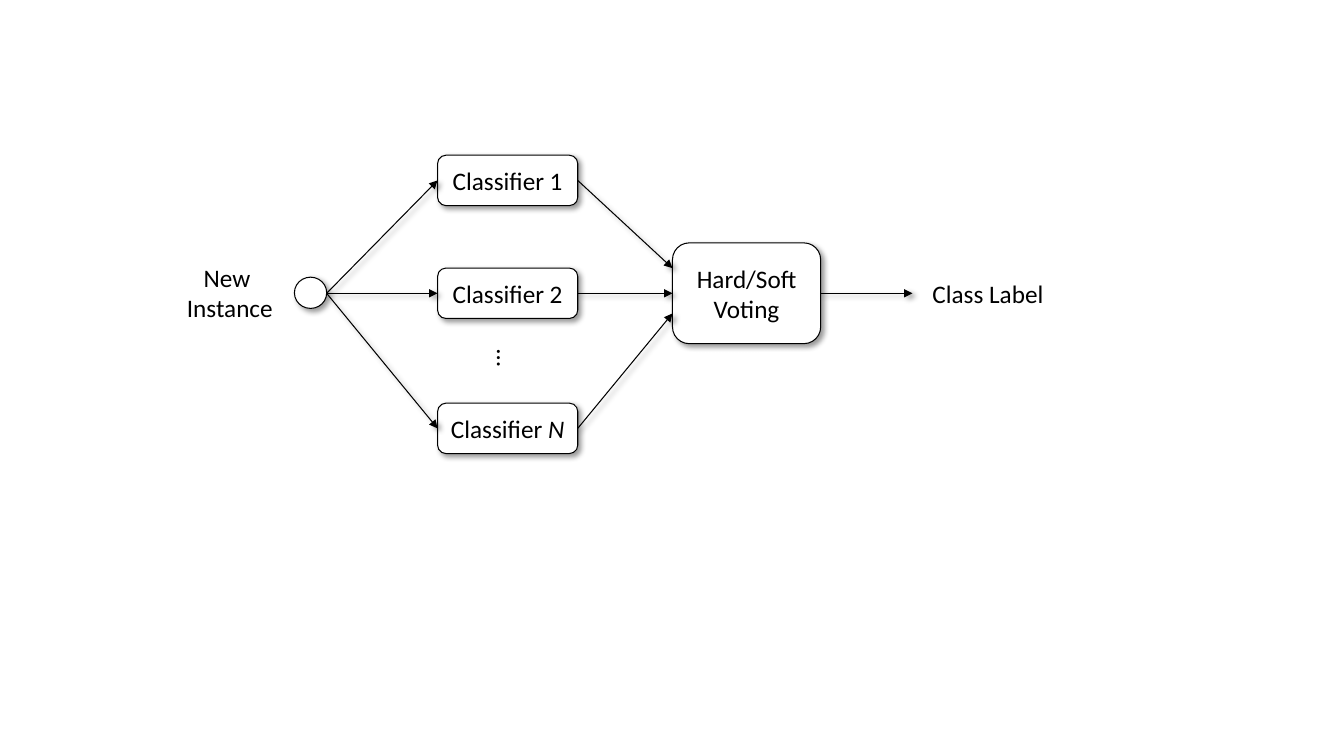
from lxml.etree import SubElement
from pptx import Presentation
from pptx.dml.color import RGBColor
from pptx.enum.shapes import MSO_CONNECTOR, MSO_SHAPE
from pptx.enum.text import MSO_ANCHOR, MSO_AUTO_SIZE, PP_ALIGN
from pptx.oxml.ns import qn
from pptx.util import Pt

PX = 9144
INK = "000000"
PAPER = "FFFFFF"


def px(*sizes):
    """Turn px lengths into EMU."""
    return [size * PX for size in sizes]


def paint(fill, color):
    """Give a fill one solid colour."""
    fill.solid()
    fill.fore_color.rgb = RGBColor.from_string(color)


def shade(item):
    """Draw a thin ink line and a soft shadow on a shape or connector."""
    paint(item.line.fill, INK)
    item.line.width = Pt(0.75)
    props = item.element.spPr
    for old in props.findall(qn("a:effectLst")):
        props.remove(old)
    effects = SubElement(props, qn("a:effectLst"))
    shadow = SubElement(effects, qn("a:outerShdw"), blurRad="50800", dist="38100",
                        dir="2700000", algn="tl", rotWithShape="0")
    color = SubElement(shadow, qn("a:srgbClr"), val=INK)
    SubElement(color, qn("a:alpha"), val="40000")


def write(frame, lines, align, slant=""):
    """Fill a text frame with lines, the last one ending in italics."""
    for number, line in enumerate(lines):
        para = frame.add_paragraph() if number else frame.paragraphs[0]
        para.alignment = align
        para.font.size = Pt(18)
        para.font.name = "Calibri"
        para.font.color.rgb = RGBColor.from_string(INK)
        para.add_run().text = line
    if slant:
        run = para.add_run()
        run.text = slant
        run.font.italic = True


def node(slide, kind, box, text="", slant=""):
    """Place an outlined shape with centred text."""
    shape = slide.shapes.add_shape(kind, *px(*box))
    paint(shape.fill, PAPER)
    shade(shape)
    if text:
        shape.text_frame.vertical_anchor = MSO_ANCHOR.MIDDLE
        write(shape.text_frame, [text], PP_ALIGN.CENTER, slant)
    return shape


def label(slide, box, lines, align=PP_ALIGN.LEFT):
    """Place free text that does not wrap."""
    area = slide.shapes.add_textbox(*px(*box))
    area.text_frame.word_wrap = False
    area.text_frame.auto_size = MSO_AUTO_SIZE.SHAPE_TO_FIT_TEXT
    write(area.text_frame, lines, align)
    return area


def arrow(slide, start, end, source=None, target=None):
    """Draw an arrow, joined to the right of source and the left of target."""
    line = slide.shapes.add_connector(MSO_CONNECTOR.STRAIGHT, *px(*start, *end))
    if source:
        line.begin_connect(source, 3)
    if target:
        line.end_connect(target, 1)
    shade(line)
    SubElement(line.element.spPr.find(qn("a:ln")), qn("a:tailEnd"), type="triangle")


def voting(slide, left, top, width, height):
    """Lay out the voting ensemble from instance to class label."""
    middle = top + 137
    right = left + width
    label(slide, (left, middle - 36, 106, 71), ["New ", "Instance"], PP_ALIGN.CENTER)
    node(slide, MSO_SHAPE.OVAL, (left + 117, middle - 16, 32, 31))
    vote = node(slide, MSO_SHAPE.ROUNDED_RECTANGLE,
                (left + 492, middle - 50, 147, 100), "Hard/Soft Voting")
    dots = label(slide, (left + 309, top + 182, 38, 40), ["…"])
    dots.rotation = 90
    paint(dots.fill, PAPER)

    ranks = [("1", "", top, -25), ("2", "", middle - 25, 0),
             ("", "N", top + height - 50, 20)]
    for digit, slant, y, shift in ranks:
        model = node(slide, MSO_SHAPE.ROUNDED_RECTANGLE, (left + 259, y, 139, 50),
                     f"Classifier {digit}", slant)
        arrow(slide, (left + 149, middle), (left + 259, y + 25), target=model)
        arrow(slide, (left + 398, y + 25), (left + 492, middle + shift),
              model, None if shift else vote)

    arrow(slide, (left + 639, middle), (right - 142, middle), vote)
    label(slide, (right - 132, middle - 20, 132, 40), ["Class Label"])


def main():
    """Build and save the slide."""
    deck = Presentation()
    deck.slide_width, deck.slide_height = px(1333, 750)
    slide = deck.slides.add_slide(deck.slide_layouts[6])
    voting(slide, 175, 154, 872, 296)
    deck.save("out.pptx")


if __name__ == "__main__":
    main()
